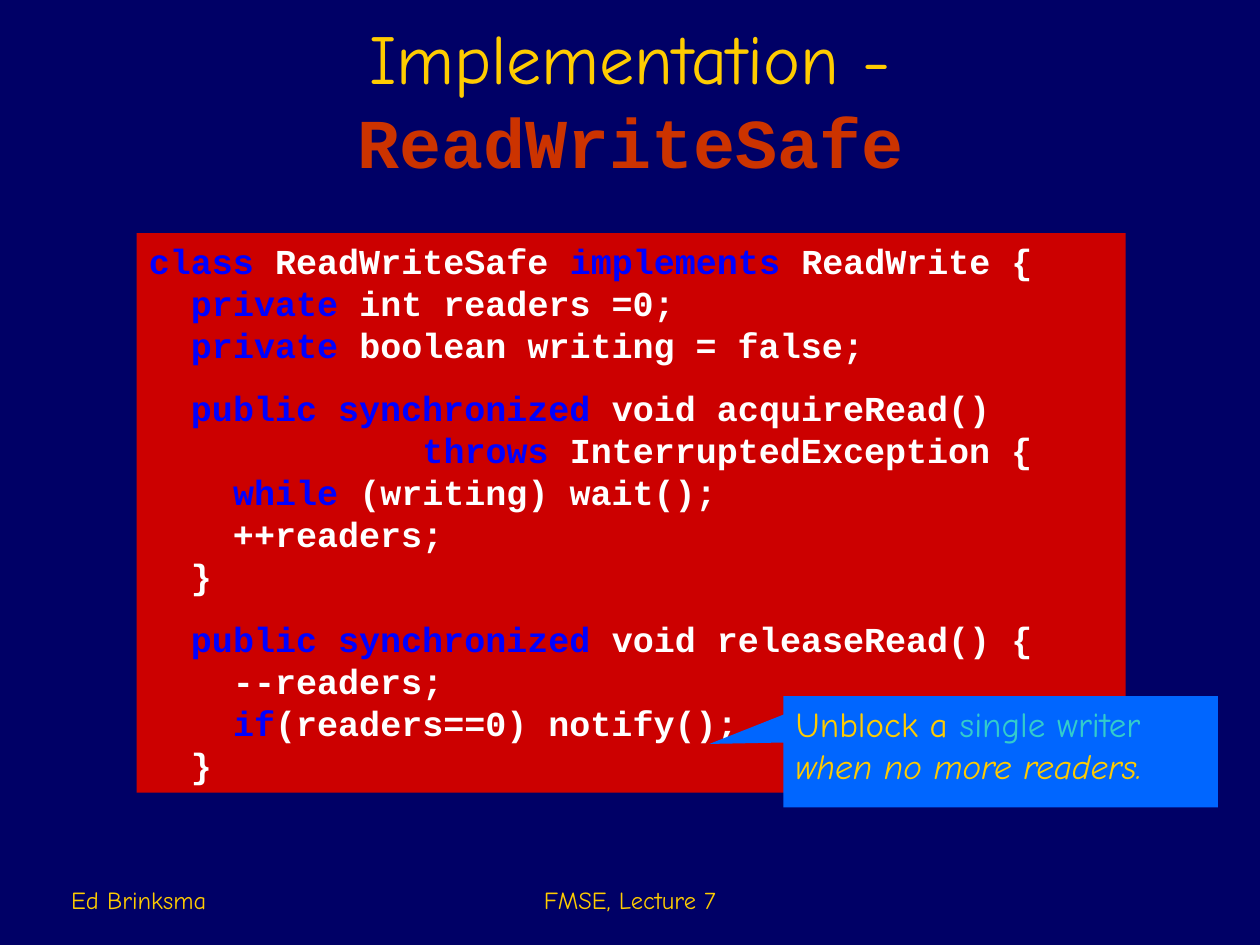
from pptx import Presentation
from pptx.dml.color import RGBColor
from pptx.enum.shapes import MSO_SHAPE
from pptx.enum.text import MSO_ANCHOR, MSO_AUTO_SIZE, PP_ALIGN
from pptx.util import Inches, Pt

HUES = {
    "back": "000066", "gold": "FFCC00", "rust": "CC3300", "red": "CC0000",
    "key": "0000FF", "white": "FFFFFF", "blue": "0066FF", "teal": "33CCCC",
}
HAND, MONO = "Comic Neue", "Courier New"
COLS, ROWS = 120, 90
WIDTH, HEIGHT = Inches(10), Inches(7.5)
MARK = "|"
BLOCKS = [
    [
        "|class| ReadWriteSafe |implements| ReadWrite {",
        "  |private| int readers =0;",
        "  |private| boolean writing = false;",
    ],
    [
        "  |public synchronized| void acquireRead()",
        "             |throws| InterruptedException {",
        "    |while| (writing) wait();",
        "    ++readers;",
        "  }",
    ],
    [
        "  |public synchronized| void releaseRead() {",
        "    --readers;",
        "    |if|(readers==0) notify();",
        "  }",
    ],
]


def hue(name):
    return RGBColor.from_string(HUES[name])


def area(col, row, wide, high):
    return (round(col * WIDTH / COLS), round(row * HEIGHT / ROWS),
            round(wide * WIDTH / COLS), round(high * HEIGHT / ROWS))


def place(shape, box):
    shape.left, shape.top, shape.width, shape.height = box


def setup(frame, anchor=MSO_ANCHOR.TOP, fit=MSO_AUTO_SIZE.NONE):
    frame.word_wrap = True
    frame.auto_size = fit
    frame.vertical_anchor = anchor


def style(para, size, face=None, bold=None, align=PP_ALIGN.LEFT):
    para.alignment = align
    font = para.font
    font.size, font.name, font.bold = Pt(size), face, bold


def add_run(para, text, color):
    run = para.add_run()
    run.text = text
    run.font.color.rgb = hue(color)
    return run.font


def add_title(slide):
    title = slide.shapes.title
    place(title, area(9, 3, 102, 15))
    setup(title.text_frame, MSO_ANCHOR.BOTTOM)
    para = title.text_frame.paragraphs[0]
    style(para, 40, align=PP_ALIGN.CENTER)
    add_run(para, "Implementation - ", "gold").name = HAND
    font = add_run(para, "ReadWriteSafe", "rust")
    font.name, font.bold = MONO, True


def add_panel(slide, kind, box, fill):
    panel = slide.shapes.add_shape(kind, *box)
    panel.shadow.inherit = False
    panel.fill.solid()
    panel.fill.fore_color.rgb = hue(fill)
    panel.line.fill.background()
    return panel


def add_code(slide):
    panel = add_panel(slide, MSO_SHAPE.RECTANGLE,
                      area(13, 22.2, 94.2, 53.3), "red")
    frame = panel.text_frame
    setup(frame, fit=MSO_AUTO_SIZE.SHAPE_TO_FIT_TEXT)
    for block, lines in enumerate(BLOCKS):
        for row, line in enumerate(lines):
            first = block == row == 0
            para = frame.paragraphs[0] if first else frame.add_paragraph()
            style(para, 20, MONO, True)
            if block and row == 0:
                para.space_before = Pt(12)
            for part, text in enumerate(line.split(MARK)):
                if text:
                    add_run(para, text, "key" if part % 2 else "white")


def add_note(slide):
    note = add_panel(slide, MSO_SHAPE.RECTANGULAR_CALLOUT,
                     area(74.6, 66.3, 41.4, 10.6), "blue")
    note.adjustments[0], note.adjustments[1] = -0.67, -0.07
    setup(note.text_frame)
    para = note.text_frame.paragraphs[0]
    style(para, 20, HAND)
    add_run(para, "Unblock a ", "gold")
    add_run(para, "single writer ", "teal")
    add_run(para, "when no more readers.", "gold").italic = True


def add_foot(slide, text, col, wide, align):
    foot = slide.shapes.add_textbox(*area(col, 81.7, wide, 6))
    setup(foot.text_frame, MSO_ANCHOR.BOTTOM)
    para = foot.text_frame.paragraphs[0]
    style(para, 14, HAND, align=align)
    add_run(para, text, "gold")


def main():
    deck = Presentation()
    deck.slide_width, deck.slide_height = WIDTH, HEIGHT
    slide = deck.slides.add_slide(deck.slide_layouts[5])
    slide.background.fill.solid()
    slide.background.fill.fore_color.rgb = hue("back")
    add_title(slide)
    add_code(slide)
    add_note(slide)
    add_foot(slide, "FMSE, Lecture 7", 41, 38, PP_ALIGN.CENTER)
    add_foot(slide, "Ed Brinksma", 5.6, 25, PP_ALIGN.LEFT)
    deck.save("out.pptx")


if __name__ == "__main__":
    main()
